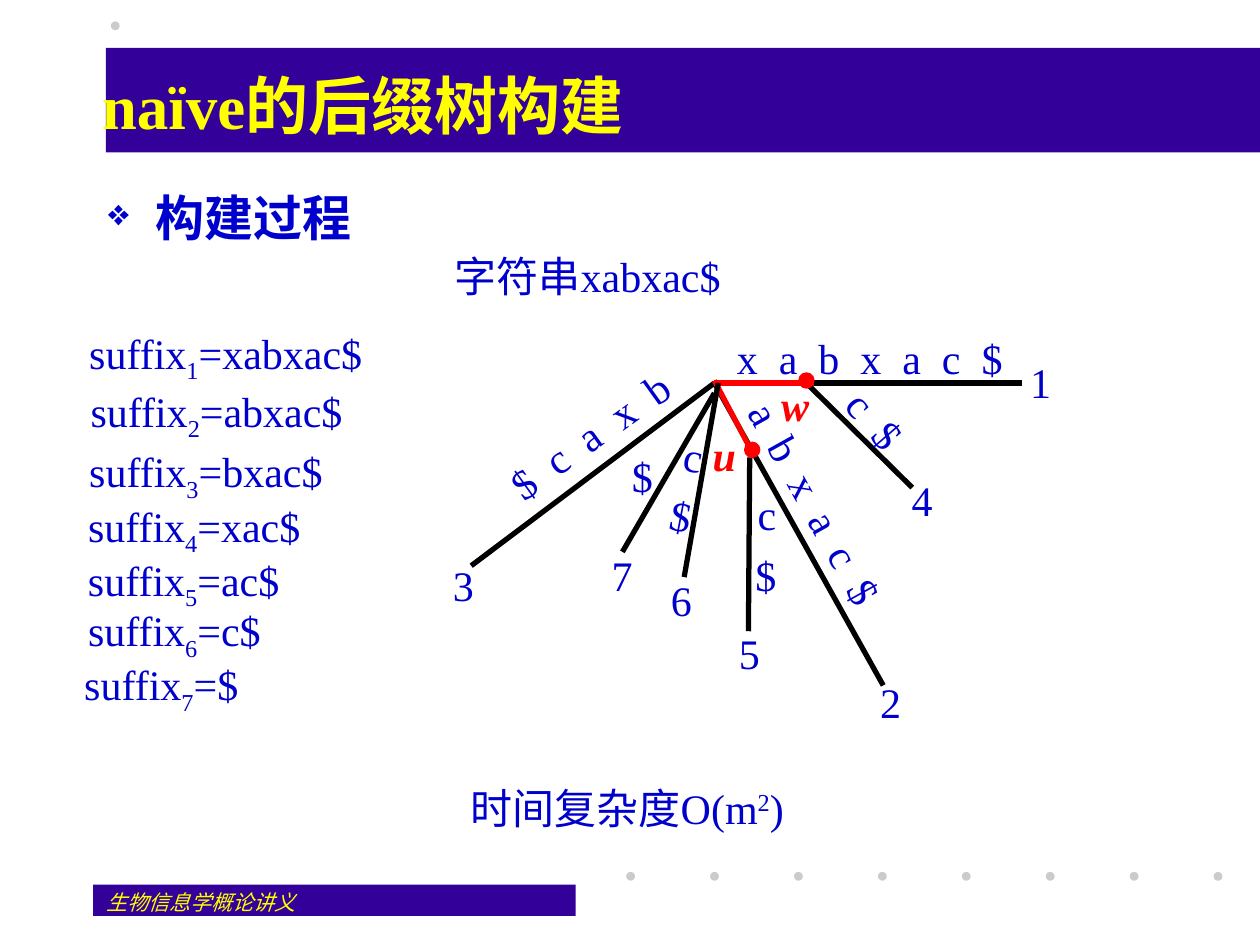
from typing import NamedTuple

from lxml import etree
from pptx import Presentation
from pptx.dml.color import RGBColor
from pptx.enum import shapes, text
from pptx.oxml.ns import qn
from pptx.util import Inches, Pt

FONT = "Times New Roman"
COLORS = {"band": "330099", "dot": "CBCBCB", "title": "FFFF00",
          "text": "0000CC", "edge": "000000", "path": "FF0000"}
LEFT, RIGHT = text.PP_ALIGN.LEFT, text.PP_ALIGN.RIGHT


class Edge(NamedTuple):
    start: tuple[float, float]
    end: tuple[float, float]
    color: str = "edge"


class Label(NamedTuple):
    lines: tuple[str, ...]
    left: float
    top: float
    width: float
    rotation: float = 0
    align: text.PP_ALIGN = RIGHT
    spacing: float = 0


class Suffix(NamedTuple):
    value: str
    left: float
    top: float
    width: float


ROOT = (5.67, 3.04)
EDGES = [
    Edge(ROOT, (8.11, 3.04)),
    Edge(ROOT, (7.01, 5.44)),
    Edge(ROOT, (3.74, 4.49)),
    Edge(ROOT, (6.46, 3.04), "path"),
    Edge((6.42, 3.06), (7.24, 3.87)),
    Edge((5.67, 3.02), (5.98, 3.61), "path"),
    Edge((5.95, 3.63), (5.94, 5.01)),
    Edge((5.7, 3.04), (5.43, 4.58)),
    Edge((5.67, 3.12), (4.94, 4.38)),
]
EDGE_LABELS = [
    Label(("x a b x a c $",), 5.75, 2.59, 2.31, 0, LEFT, 3),
    Label(("a b x a c $",), 5.48, 3.74, 1.98, 61, RIGHT, 3),
    Label(("$ c a x b",), 3.85, 3.2, 1.66, 324.3, LEFT, 3),
    Label(("c $",), 6.61, 3.08, 0.68, 49.1, RIGHT, 3),
    Label(("c", "$"), 5.89, 3.83, 0.37),
    Label(("c", "$"), 5.26, 3.36, 0.37, 10.9),
    Label(("$",), 4.91, 3.53, 0.37),
]
LEAVES = [(8.07, 2.78), (6.88, 5.32), (3.49, 4.39), (7.13, 3.72),
          (5.76, 4.93), (5.22, 4.51), (4.75, 4.31)]
INNER_NODES = [(6.34, 2.96), (5.91, 3.51)]
NODE_LABELS = [Label(("w",), 6.1, 2.96, 0.42), Label(("u",), 5.55, 3.36, 0.39)]
SUFFIXES = [
    Suffix("xabxac$", 0.61, 2.55, 2.38),
    Suffix("abxac$", 0.62, 3.01, 2.21),
    Suffix("bxac$", 0.61, 3.49, 2.06),
    Suffix("xac$", 0.6, 3.92, 1.89),
    Suffix("ac$", 0.6, 4.35, 1.73),
    Suffix("c$", 0.6, 4.75, 1.58),
    Suffix("$", 0.57, 5.18, 1.43),
]


def rgb(color: str) -> RGBColor:
    return RGBColor.from_string(COLORS[color])


def add_filled(slide, kind, left: float, top: float, width: float, height: float,
               color: str, outlined: bool = False) -> None:
    shape = slide.shapes.add_shape(
        kind, Inches(left), Inches(top), Inches(width), Inches(height))
    shape.shadow.inherit = False
    shape.fill.solid()
    shape.fill.fore_color.rgb = rgb(color)
    if outlined:
        shape.line.color.rgb = rgb(color)
        shape.line.width = Pt(0.75)
    else:
        shape.line.fill.background()


def add_edge(slide, edge: Edge) -> None:
    points = [Inches(value) for value in edge.start + edge.end]
    line = slide.shapes.add_connector(shapes.MSO_CONNECTOR.STRAIGHT, *points)
    line.line.color.rgb = rgb(edge.color)
    line.line.width = Pt(3)
    etree.SubElement(line._element.spPr, qn("a:effectLst"))


def add_box(slide, left: float, top: float, width: float, height: float = 0.5,
            wrap: bool = False):
    box = slide.shapes.add_textbox(
        Inches(left), Inches(top), Inches(width), Inches(height))
    box.text_frame.word_wrap = wrap
    if not wrap:
        box.text_frame.auto_size = text.MSO_AUTO_SIZE.SHAPE_TO_FIT_TEXT
    return box


def add_run(paragraph, content: str, size: float = 24, color: str = "text",
            bold: bool = False, italic: bool = False, baseline: int = 0,
            spacing: float = 0) -> None:
    """Append a run; baseline is in percent and letter spacing in points."""
    run = paragraph.add_run()
    run.text = content
    font = run.font
    font.name, font.size, font.bold, font.italic = FONT, Pt(size), bold, italic
    font.color.rgb = rgb(color)
    properties = run._r.get_or_add_rPr()
    if baseline:
        properties.set("baseline", str(baseline * 1000))
    if spacing:
        properties.set("spc", str(int(spacing * 100)))


def add_label(slide, label: Label, **style) -> None:
    box = add_box(slide, label.left, label.top, label.width, 0.5 * len(label.lines))
    box.rotation = label.rotation
    for index, line in enumerate(label.lines):
        frame = box.text_frame
        paragraph = frame.add_paragraph() if index else frame.paragraphs[0]
        paragraph.alignment = label.align
        if index:
            paragraph.space_before = Pt(6)
        add_run(paragraph, line, spacing=label.spacing, **style)


def add_bullet(paragraph, symbol: str) -> None:
    properties = paragraph._p.get_or_add_pPr()
    properties.set("marL", str(Inches(0.38)))
    properties.set("indent", str(-Inches(0.38)))
    color = etree.SubElement(properties, qn("a:buClr"))
    etree.SubElement(color, qn("a:srgbClr"), val=COLORS["text"])
    etree.SubElement(properties, qn("a:buSzPct"), val="75000")
    etree.SubElement(properties, qn("a:buChar"), char=symbol)


def add_frame(slide) -> None:
    """Draw the bands, dots, title, heading and footer."""
    rectangle, oval = shapes.MSO_SHAPE.RECTANGLE, shapes.MSO_SHAPE.OVAL
    add_filled(slide, rectangle, 0.74, 7.02, 3.83, 0.25, "band")
    add_filled(slide, rectangle, 0.84, 0.38, 9.16, 0.83, "band")
    dots = [(0.88, 0.17)] + [(4.97 + 0.666 * i, 6.92) for i in range(8)]
    for left, top in dots:
        add_filled(slide, oval, left, top, 0.07, 0.07, "dot")

    footer = add_box(slide, 0.75, 7.01, 2.08, 0.25, wrap=True)
    add_run(footer.text_frame.paragraphs[0], "生物信息学概论讲义", 12, "title", italic=True)
    title = add_box(slide, 0.71, 0.33, 8.9, 1, wrap=True)
    title.text_frame.vertical_anchor = text.MSO_ANCHOR.MIDDLE
    add_run(title.text_frame.paragraphs[0], "naïve的后缀树构建", 36, "title", bold=True)
    heading = add_box(slide, 0.76, 1.44, 8.9, 0.6, wrap=True).text_frame.paragraphs[0]
    add_bullet(heading, "❖")
    add_run(heading, "构建过程", 28, bold=True)


def add_suffixes(slide) -> None:
    for number, suffix in enumerate(SUFFIXES, 1):
        box = add_box(slide, suffix.left, suffix.top, suffix.width, 0.56)
        paragraph = box.text_frame.paragraphs[0]
        add_run(paragraph, "suffix")
        add_run(paragraph, str(number), baseline=-25)
        add_run(paragraph, f"={suffix.value}")


def add_tree(slide) -> None:
    for edge in EDGES:
        add_edge(slide, edge)
    for left, top in INNER_NODES:
        add_filled(slide, shapes.MSO_SHAPE.OVAL, left, top, 0.12, 0.12, "path", True)
    for label in EDGE_LABELS:
        add_label(slide, label)
    for label in NODE_LABELS:
        add_label(slide, label, color="path", bold=True, italic=True)
    for number, (left, top) in enumerate(LEAVES, 1):
        add_label(slide, Label((str(number),), left, top, 0.37))


def main() -> None:
    presentation = Presentation()
    presentation.slide_width, presentation.slide_height = Inches(10), Inches(7.5)
    slide = presentation.slides.add_slide(presentation.slide_layouts[6])
    add_frame(slide)
    add_label(slide, Label(("字符串xabxac$",), 3.51, 1.94, 2.39, align=LEFT))
    add_suffixes(slide)
    add_tree(slide)
    complexity = add_box(slide, 3.55, 6.16, 2.77).text_frame.paragraphs[0]
    complexity.alignment = RIGHT
    add_run(complexity, "时间复杂度O(m")
    add_run(complexity, "2", baseline=30)
    add_run(complexity, ")")
    presentation.save("out.pptx")


if __name__ == "__main__":
    main()
